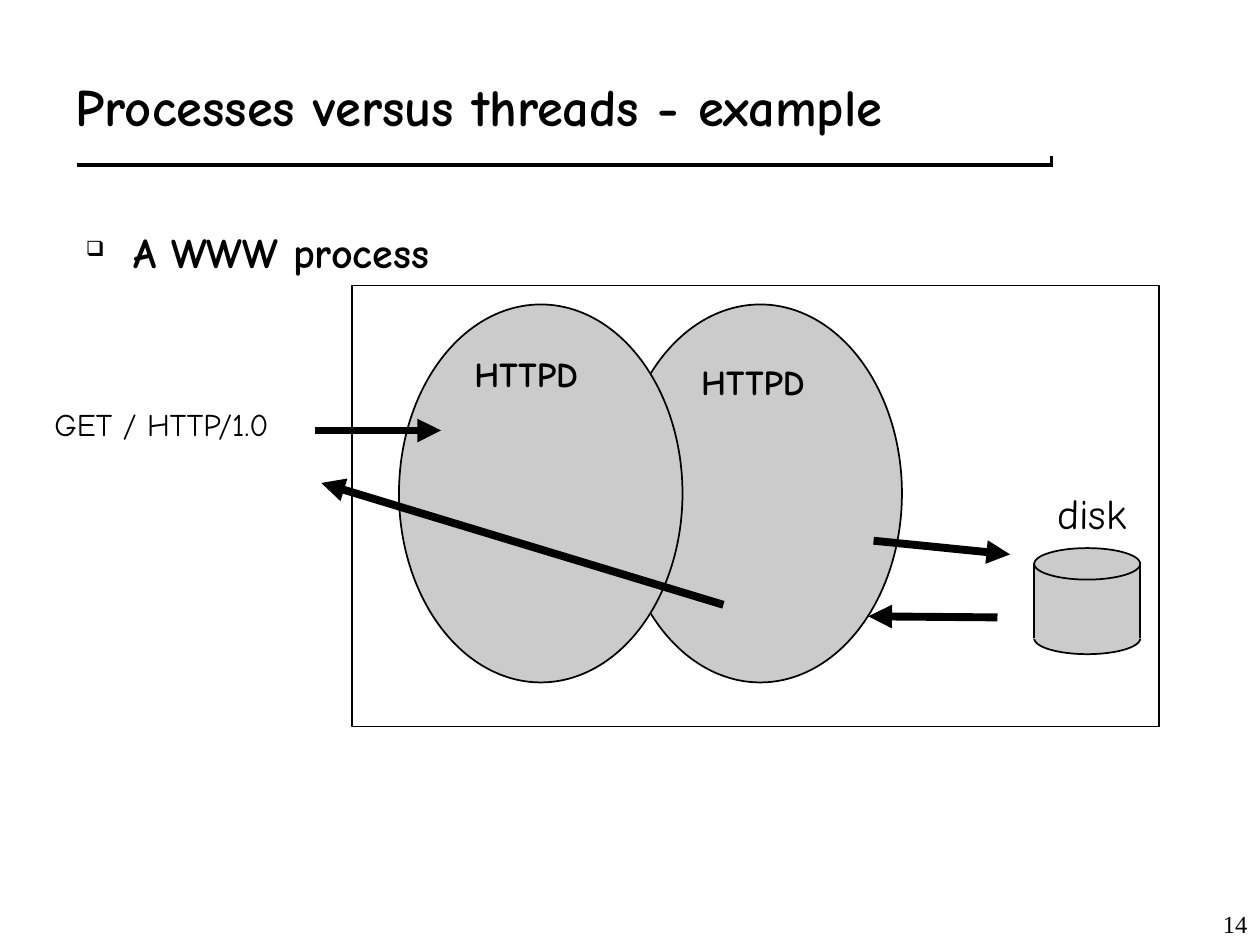
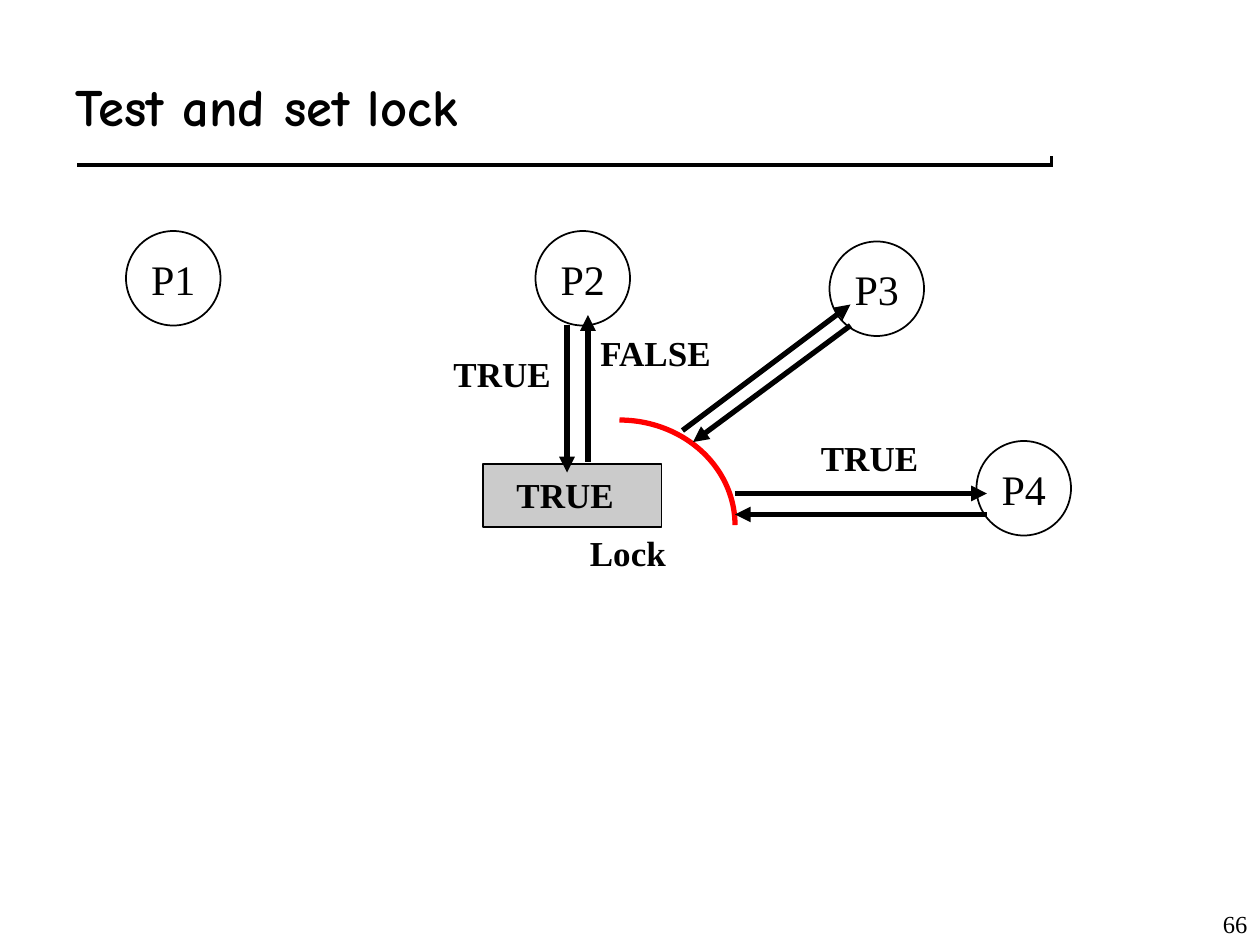
from lxml import etree
from pptx import Presentation
from pptx.dml.color import RGBColor
from pptx.enum.shapes import MSO_CONNECTOR, MSO_SHAPE as SHAPE
from pptx.enum.text import MSO_ANCHOR as ANCHOR, MSO_AUTO_SIZE, PP_ALIGN as ALIGN
from pptx.oxml.ns import qn
from pptx.util import Emu, Pt

PX = 7620  # 120 px to the inch
BLACK, WHITE, GREY, RED = "000000", "FFFFFF", "CBCBCB", "FF0000"
COMIC, TIMES = "Comic Neue", "Times New Roman"
rgb = RGBColor.from_string


def px(*lengths):
    return [Emu(n * PX) for n in lengths]


def write(tf, text, size, font, bold=False, align=ALIGN.LEFT, anchor=ANCHOR.TOP, wrap=False):
    tf.word_wrap = wrap
    tf.auto_size = MSO_AUTO_SIZE.NONE
    tf.vertical_anchor = anchor
    p = tf.paragraphs[0]
    p.alignment = align
    r = p.add_run()
    r.text = text
    r.font.size, r.font.name, r.font.bold = Pt(size), font, bold
    r.font.color.rgb = rgb(BLACK)
    return p


# Shapes: kind, x, y, w, h, fill, line colour, line width, text
httpd_shapes = [(SHAPE.OVAL, x, 290, 270, 360, GREY, BLACK, 1, "") for x in (589, 380)]
disk_shapes = [
    (SHAPE.OVAL, 985, 593, 101, 30, GREY, BLACK, 1, ""),
    (SHAPE.RECTANGLE, 985, 540, 101, 68, GREY, GREY, 1, ""),
    (SHAPE.OVAL, 985, 522, 101, 30, GREY, BLACK, 1, ""),
]
server_frame = (SHAPE.RECTANGLE, 335, 272, 769, 420, None, BLACK, 1, "")
lock_shapes = [
    (SHAPE.RECTANGLE, 460, 442, 170, 60, GREY, BLACK, 1, ""),
    (SHAPE.ARC, 480, 400, 220, 200, None, RED, 3, ""),
]
process_shapes = [
    (SHAPE.OVAL, x, y, 90, 90, None, BLACK, 1, name)
    for name, x, y in [("P1", 120, 220), ("P2", 510, 220), ("P3", 790, 230), ("P4", 930, 420)]
]

# Lines: x1, y1, x2, y2, colour, width, arrowhead at the end
title_rule = [(73, 154, 1003, 154, BLACK, 6, False), (70, 150, 1000, 150, WHITE, 6, False)]
disk_sides = [(x, 608, x, 536, BLACK, 1, False) for x in (985, 1086)]
request_arrows = [
    (*ends, BLACK, 4.5, True)
    for ends in [(300, 410, 420, 410), (832, 515, 962, 528),
                 (950, 588, 827, 587), (689, 576, 306, 460)]
]
lock_arrows = [
    (*ends, BLACK, 3, True)
    for ends in [(540, 310, 540, 450), (560, 440, 560, 300), (810, 310, 660, 421),
                 (650, 410, 810, 290), (700, 470, 940, 470), (940, 490, 700, 490)]
]

# Labels: text, x, y, w, h, size, font, bold
request_labels = [
    ("HTTPD", 656, 337, 140, 53, 20, COMIC, True),
    ("HTTPD", 440, 330, 140, 53, 20, COMIC, True),
    ("GET / HTTP/1.0", 40, 380, 270, 48, 18, COMIC, False),
    ("disk", 995, 458, 90, 60, 24, COMIC, False),
]
lock_labels = [
    (text, x, y, w, 53, 20, TIMES, True)
    for text, x, y, w in [("TRUE", 480, 445, 116), ("Lock", 550, 500, 96), ("TRUE", 420, 330, 116),
                          ("FALSE", 560, 310, 131), ("TRUE", 770, 410, 116)]
]

slides = [
    ("Processes versus threads - example", "14", httpd_shapes + disk_shapes + [server_frame],
     disk_sides + request_arrows, request_labels, "A WWW process"),
    ("Test and set lock", "66", lock_shapes + process_shapes, lock_arrows, lock_labels, ""),
]

prs = Presentation()
prs.slide_width, prs.slide_height = px(1200, 900)

for title, number, shapes, lines, labels, bullet in slides:
    s = prs.slides.add_slide(prs.slide_layouts[5])

    # Title
    sp = s.shapes.title
    sp.left, sp.top, sp.width, sp.height = px(60, 40, 1030, 120)
    write(sp.text_frame, title, 30, COMIC, True, anchor=ANCHOR.MIDDLE, wrap=True)

    # Bulleted line
    if bullet:
        sp = s.shapes.add_textbox(*px(70, 210, 1020, 590))
        p = write(sp.text_frame, bullet, 24, COMIC, True, wrap=True)
        pPr = p._p.get_or_add_pPr()
        pPr.set("marL", str(45 * PX))
        pPr.set("indent", str(-45 * PX))
        etree.SubElement(pPr, qn("a:buSzPct"), val="50000")
        etree.SubElement(pPr, qn("a:buChar"), char="❑")

    # Shapes
    for kind, x, y, w, h, fill, colour, width, text in shapes:
        sp = s.shapes.add_shape(kind, *px(x, y, w, h))
        sp.shadow.inherit = False
        if fill:
            sp.fill.solid()
            sp.fill.fore_color.rgb = rgb(fill)
        else:
            sp.fill.background()
        sp.line.color.rgb = rgb(colour)
        sp.line.width = Pt(width)
        if text:
            write(sp.text_frame, text, 24, TIMES, align=ALIGN.CENTER, anchor=ANCHOR.MIDDLE)

    # Title rule, lines and arrows
    for x1, y1, x2, y2, colour, width, arrow in title_rule + lines:
        line = s.shapes.add_connector(MSO_CONNECTOR.STRAIGHT, *px(x1, y1, x2, y2))
        line.line.color.rgb = rgb(colour)
        line.line.width = Pt(width)
        if arrow:
            etree.SubElement(line.line._get_or_add_ln(), qn("a:tailEnd"), type="triangle")
        etree.SubElement(line._element.spPr, qn("a:effectLst"))

    # Labels
    for text, x, y, w, h, size, font, bold in labels:
        sp = s.shapes.add_textbox(*px(x, y, w, h))
        write(sp.text_frame, text, size, font, bold)

    # Slide number
    sp = s.shapes.add_textbox(*px(950, 840, 250, 60))
    write(sp.text_frame, number, 14, TIMES, align=ALIGN.RIGHT, anchor=ANCHOR.BOTTOM, wrap=True)

prs.save("out.pptx")
